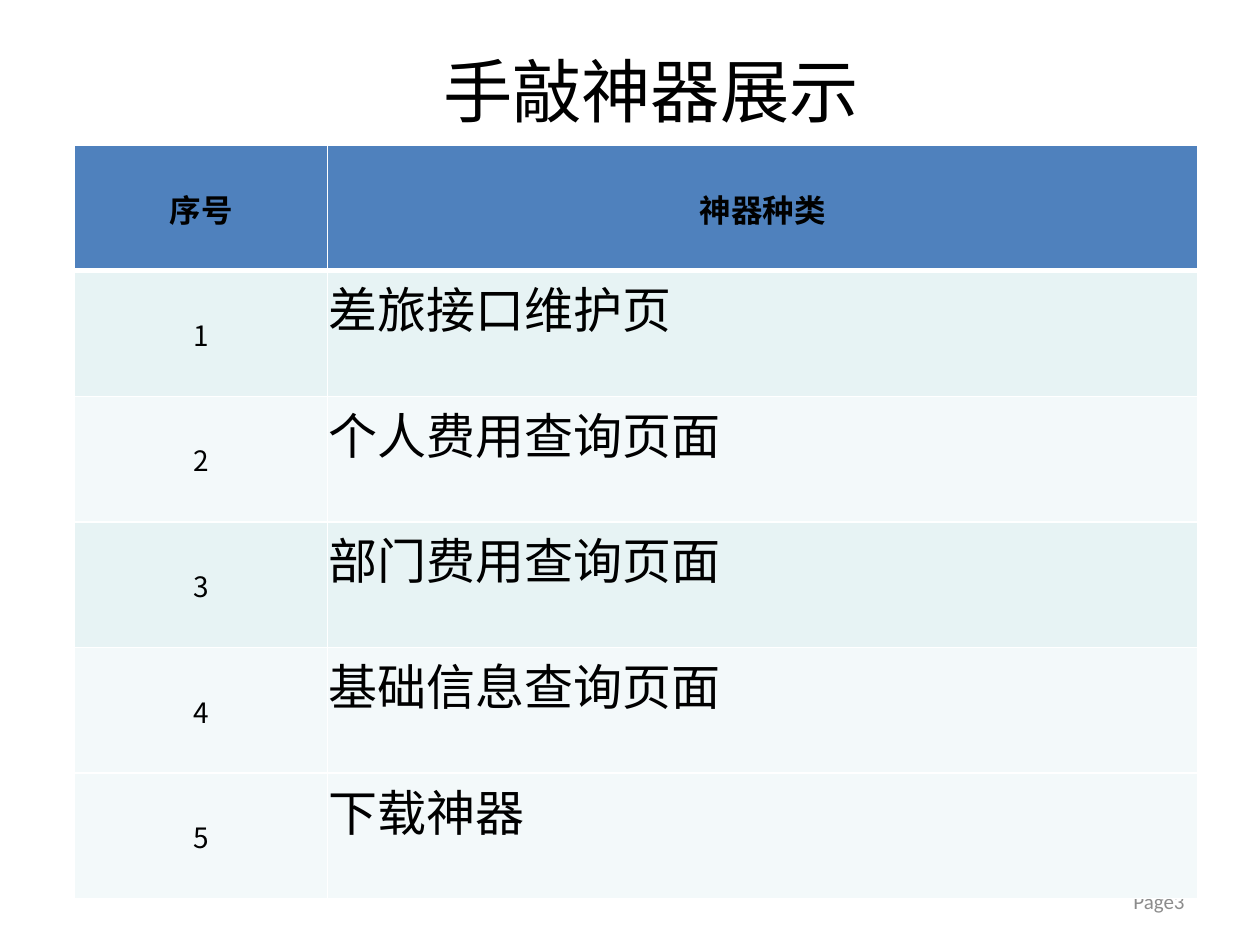
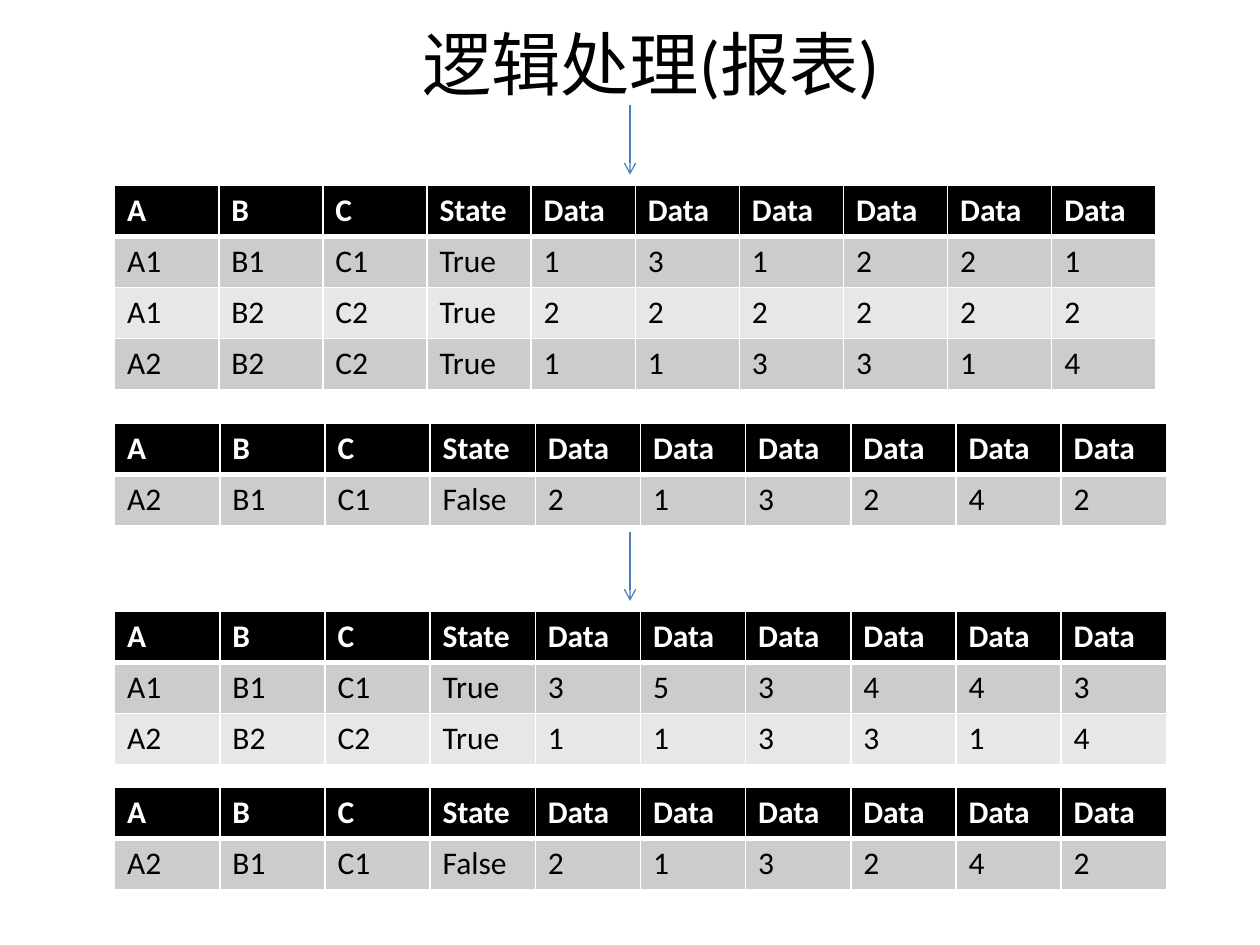
from lxml import etree
from pptx import Presentation
from pptx.dml.color import RGBColor
from pptx.enum.shapes import MSO_CONNECTOR
from pptx.enum.text import MSO_ANCHOR, MSO_AUTO_SIZE, PP_ALIGN
from pptx.oxml.ns import qn
from pptx.util import Pt

STRAIGHT = MSO_CONNECTOR.STRAIGHT
TOP, MIDDLE = MSO_ANCHOR.TOP, MSO_ANCHOR.MIDDLE
LEFT, CENTER, RIGHT = PP_ALIGN.LEFT, PP_ALIGN.CENTER, PP_ALIGN.RIGHT
NO_AUTOFIT = MSO_AUTO_SIZE.NONE

LATIN, CJK = "Calibri", "Noto Sans CJK SC"
BLACK, WHITE, GREY = "000000", "FFFFFF", "8C8C8C"
HEADER_BLUE, ARROW_BLUE = "4F81BD", "4B7EBC"
MINT, PALE = "E7F3F4", "F3F9FA"
DARK_BAND, LIGHT_BAND = "CCCCCC", "E7E7E7"

TOOLS_TITLE = "手敲神器展示"
TOOLS_HEADER = ("序号", "神器种类")
TOOLS = ["差旅接口维护页", "个人费用查询页面", "部门费用查询页面", "基础信息查询页面", "下载神器"]
TOOL_FILLS = [HEADER_BLUE, MINT, PALE, MINT, PALE, PALE]
PAGE_LABEL = "Page3"

REPORT_TITLE = "逻辑处理(报表)"
REPORT_HEADER = ["A", "B", "C", "State"] + ["Data"] * 6
REPORT_FILLS = [BLACK, DARK_BAND, LIGHT_BAND, DARK_BAND]
FALSE_RECORDS = ["A2 B1 C1 False 2 1 3 2 4 2"]
REPORTS = [
    (105.8, 59.5, ["A1 B1 C1 True 1 3 1 2 2 1",
                   "A1 B2 C2 True 2 2 2 2 2 2",
                   "A2 B2 C2 True 1 1 3 3 1 4"]),
    (242, 60.1, FALSE_RECORDS),
    (349.4, 60.1, ["A1 B1 C1 True 3 5 3 4 4 3",
                   "A2 B2 C2 True 1 1 3 3 1 4"]),
    (450, 60.1, FALSE_RECORDS),
]
REPORT_LEFT, REPORT_ROW_HEIGHT = 65.5, 29.2
ARROW_X, ARROW_TOPS, ARROW_LENGTH = 360, (60.2, 303.8), 39.6


def color(value):
    return RGBColor.from_string(value)


def write(frame, text, size=18, font=LATIN, ink=BLACK, bold=False, align=LEFT):
    paragraph = frame.paragraphs[0]
    paragraph.alignment = align
    run = paragraph.add_run()
    run.text = text
    run.font.size = Pt(size)
    run.font.name = font
    run.font.bold = bold
    run.font.color.rgb = color(ink)
    etree.SubElement(run.font._element, qn("a:ea"), typeface=CJK)


def add_titled_slide(deck, title, top):
    slide = deck.slides.add_slide(deck.slide_layouts[5])
    heading = slide.shapes.title
    heading.left, heading.top, heading.width, heading.height = Pt(60), Pt(top), Pt(624), Pt(42)
    frame = heading.text_frame
    frame.auto_size = NO_AUTOFIT
    frame.vertical_anchor = MIDDLE
    write(frame, title, size=39.6, align=CENTER)
    return slide


def set_borders(cell, **widths):
    properties = cell._tc.get_or_add_tcPr()
    for side in "LRTB":
        line = etree.SubElement(properties, qn(f"a:ln{side}"), w=str(Pt(widths.get(side, 1))))
        fill = etree.SubElement(line, qn("a:solidFill"))
        etree.SubElement(fill, qn("a:srgbClr"), val=WHITE)


def add_grid(slide, left, top, widths, row_height, rows, fills, style_of, inset=None):
    table = slide.shapes.add_table(len(rows), len(widths), Pt(left), Pt(top),
                                   Pt(sum(widths)), Pt(row_height * len(rows))).table
    for column, width in zip(table.columns, widths):
        column.width = Pt(width)
    for r, (row, fill) in enumerate(zip(rows, fills)):
        table.rows[r].height = Pt(row_height)
        for c, text in enumerate(row):
            cell = table.cell(r, c)
            set_borders(cell, T=3 if r == 1 else 1, B=3 if r == 0 else 1)
            cell.fill.solid()
            cell.fill.fore_color.rgb = color(fill)
            if inset is not None:
                cell.margin_left = cell.margin_right = cell.margin_top = Pt(inset)
                cell.margin_bottom = 0
            anchor, style = style_of(r, c)
            cell.vertical_anchor = anchor
            write(cell.text_frame, text, **style)


def tool_style(r, c):
    if r == 0:
        return MIDDLE, dict(font=CJK, bold=True, align=CENTER)
    if c == 0:
        return MIDDLE, dict(font=CJK, size=16, align=CENTER)
    return TOP, dict(font=CJK, size=28)


def report_style(r, c):
    return TOP, dict(ink=WHITE, bold=True) if r == 0 else {}


def add_down_arrow(slide, top):
    arrow = slide.shapes.add_connector(STRAIGHT, Pt(ARROW_X), Pt(top),
                                       Pt(ARROW_X), Pt(top + ARROW_LENGTH))
    arrow.line.color.rgb = color(ARROW_BLUE)
    arrow.line.width = Pt(0.75)
    etree.SubElement(arrow.line._get_or_add_ln(), qn("a:tailEnd"), type="arrow")
    etree.SubElement(arrow._element.spPr, qn("a:effectLst"))


def build_tools(deck):
    slide = add_titled_slide(deck, TOOLS_TITLE, 30.2)
    page = slide.shapes.add_textbox(Pt(516), Pt(500.5), Pt(168), Pt(28.8)).text_frame
    page.word_wrap = True
    page.vertical_anchor = MIDDLE
    write(page, PAGE_LABEL, size=12, ink=GREY, align=RIGHT)
    rows = [TOOLS_HEADER] + [(str(n), tool) for n, tool in enumerate(TOOLS, 1)]
    add_grid(slide, 42.6, 83, (144.5, 497.5), 71.75, rows, TOOL_FILLS, tool_style, inset=0.75)


def build_report(deck):
    slide = add_titled_slide(deck, REPORT_TITLE, 15.1)
    for top, column_width, records in REPORTS:
        rows = [REPORT_HEADER] + [record.split() for record in records]
        add_grid(slide, REPORT_LEFT, top, [column_width] * len(REPORT_HEADER),
                 REPORT_ROW_HEIGHT, rows, REPORT_FILLS, report_style)
    for top in ARROW_TOPS:
        add_down_arrow(slide, top)


def main():
    deck = Presentation()
    deck.slide_width, deck.slide_height = Pt(720), Pt(540)
    build_tools(deck)
    build_report(deck)
    deck.save("out.pptx")


if __name__ == "__main__":
    main()
